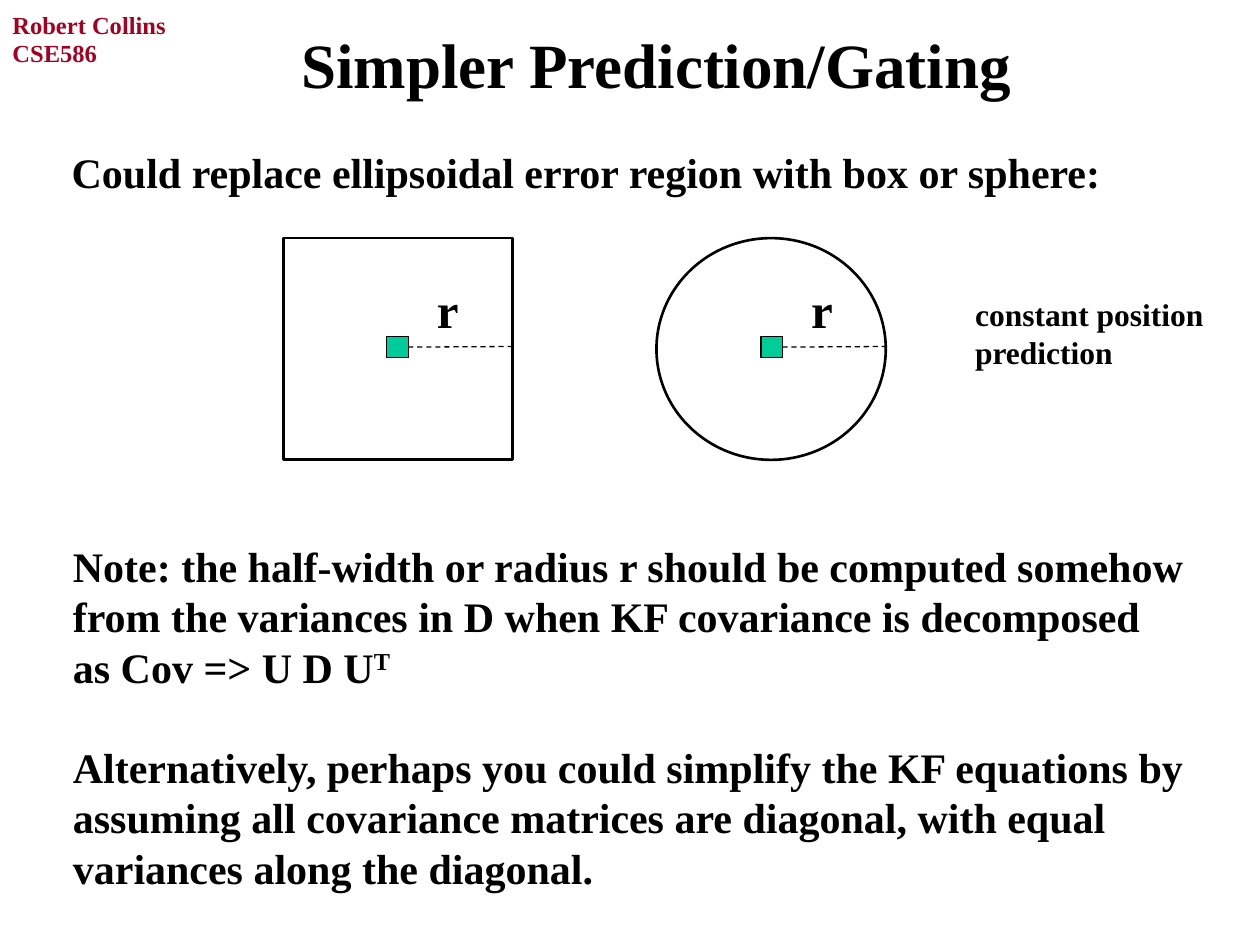
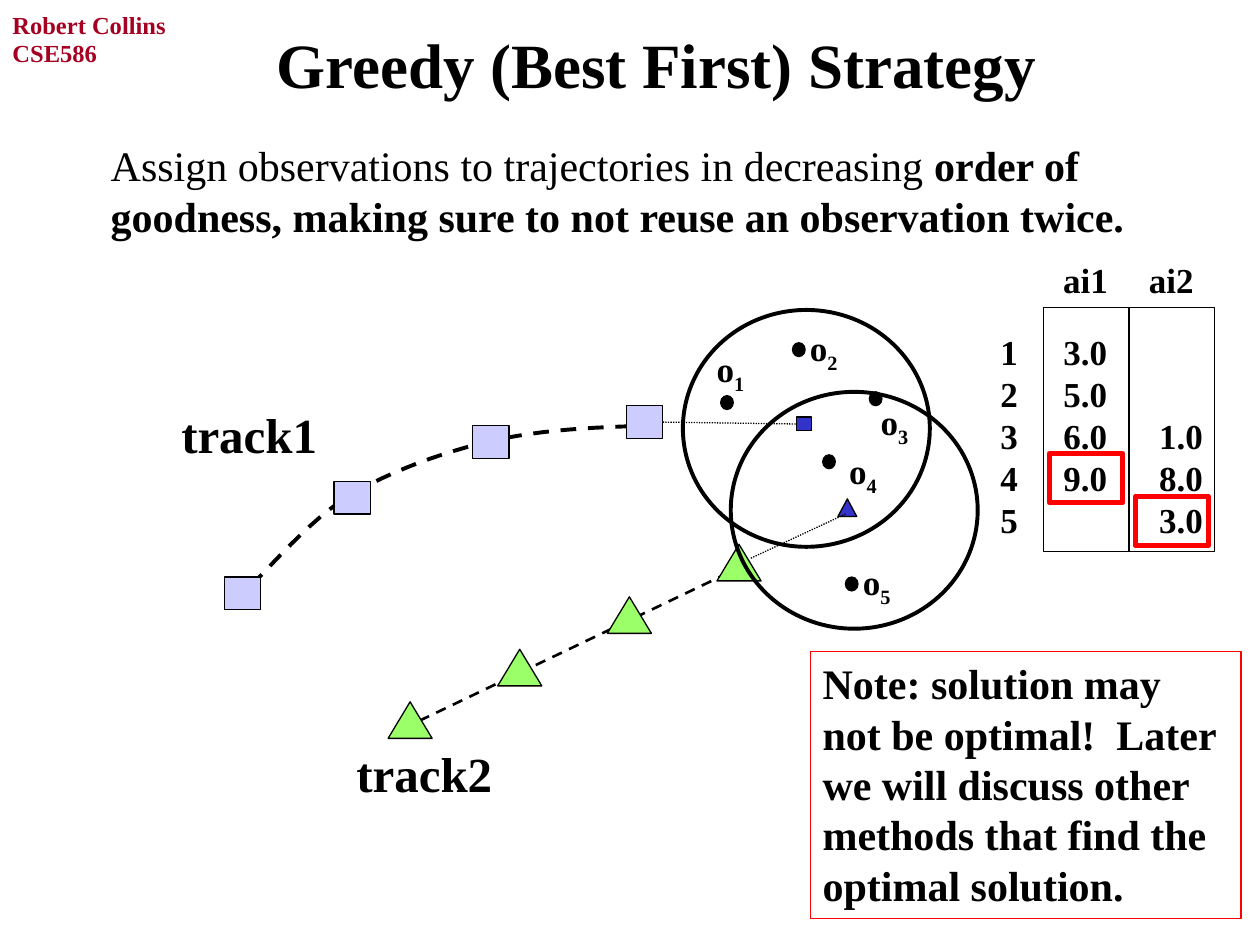
from lxml import etree
from pptx import Presentation
from pptx.dml.color import RGBColor
from pptx.enum.dml import MSO_LINE
from pptx.enum.shapes import MSO_CONNECTOR, MSO_SHAPE
from pptx.enum.text import MSO_ANCHOR, MSO_AUTO_SIZE, PP_ALIGN
from pptx.oxml.ns import qn
from pptx.util import Inches, Pt

FONT = "Times New Roman"
BLACK = RGBColor(0x00, 0x00, 0x00)
CRIMSON = RGBColor(0xA5, 0x00, 0x21)
RED = RGBColor(0xFF, 0x00, 0x00)
TEAL = RGBColor(0x00, 0xCC, 0x99)
LAVENDER = RGBColor(0xCC, 0xCC, 0xFF)
BLUE = RGBColor(0x33, 0x33, 0xCC)
GREEN = RGBColor(0x9A, 0xFF, 0x68)

RECTANGLE, OVAL = MSO_SHAPE.RECTANGLE, MSO_SHAPE.OVAL
TRIANGLE = MSO_SHAPE.ISOSCELES_TRIANGLE
STRAIGHT = MSO_CONNECTOR.STRAIGHT
DASH, DOT = MSO_LINE.DASH, MSO_LINE.ROUND_DOT
LEFT, CENTER = PP_ALIGN.LEFT, PP_ALIGN.CENTER
TOP, MIDDLE = MSO_ANCHOR.TOP, MSO_ANCHOR.MIDDLE
FIT_TEXT, NO_FIT = MSO_AUTO_SIZE.SHAPE_TO_FIT_TEXT, MSO_AUTO_SIZE.NONE
LEFT_SIDE, RIGHT_SIDE = 1, 3  # connection sites of a rectangle


def write_text(frame, paragraphs, size=24, color=BLACK, bold=True, align=LEFT,
               space_before=0, tabs=()):
    """Fill a frame; a paragraph is a string or a list of (text, bold, baseline)."""
    for index, pieces in enumerate(paragraphs):
        paragraph = frame.add_paragraph() if index else frame.paragraphs[0]
        paragraph.alignment = align
        if index and space_before:
            paragraph.space_before = Pt(space_before)
        if tabs:
            tab_list = etree.SubElement(paragraph._p.get_or_add_pPr(), qn("a:tabLst"))
            for position in tabs:
                etree.SubElement(tab_list, qn("a:tab"), pos=str(Inches(position)), algn="l")
        if isinstance(pieces, str):
            pieces = [(pieces, bold, 0)]
        for text, piece_bold, baseline in pieces:
            for number, line in enumerate(text.split("\n")):
                if number:
                    paragraph.add_line_break()
                run = paragraph.add_run()
                run.text = line
                run.font.name, run.font.size = FONT, Pt(size)
                run.font.bold = piece_bold
                run.font.color.rgb = color
                if baseline:
                    run._r.get_or_add_rPr().set("baseline", str(baseline * 1000))


def style_line(line, color, width, dash=None):
    line.color.rgb = color
    line.width = Pt(width)
    if dash:
        line.dash_style = dash


class Deck:
    def __init__(self):
        self.presentation = Presentation()
        self.presentation.slide_width = Inches(10)
        self.presentation.slide_height = Inches(7.5)
        self.slide = None

    def new_slide(self, title):
        self.slide = self.presentation.slides.add_slide(self.presentation.slide_layouts[6])
        self.text(0, 0.25, 1.59, 0.33, "CSE586", size=14, color=CRIMSON)
        self.text(0, 0.03, 1.42, 0.33, "Robert Collins", size=14, color=CRIMSON)
        self.text(1.25, 0.04, 7.92, 0.92, title, wrap=True, fit=NO_FIT, anchor=MIDDLE,
                  size=36, align=CENTER)

    def text(self, left, top, width, height, *paragraphs, wrap=False, fit=FIT_TEXT,
             anchor=TOP, **text_format):
        box = self.slide.shapes.add_textbox(Inches(left), Inches(top),
                                            Inches(width), Inches(height))
        frame = box.text_frame
        frame.word_wrap, frame.auto_size = wrap, fit
        frame.vertical_anchor = anchor
        write_text(frame, paragraphs, **text_format)
        return box

    def shape(self, kind, left, top, width, height, fill=None, line=BLACK, weight=0.75):
        shape = self.slide.shapes.add_shape(kind, Inches(left), Inches(top),
                                            Inches(width), Inches(height))
        shape.shadow.inherit = False
        if fill is None:
            shape.fill.background()
        else:
            shape.fill.solid()
            shape.fill.fore_color.rgb = fill
        style_line(shape.line, line, weight)
        return shape

    def connector(self, start, end, dash, weight=0.75, from_shape=None, to_shape=None):
        connector = self.slide.shapes.add_connector(STRAIGHT, *map(Inches, start + end))
        if from_shape is not None:
            connector.begin_connect(from_shape, RIGHT_SIDE)
        if to_shape is not None:
            connector.end_connect(to_shape, LEFT_SIDE)
        style_line(connector.line, BLACK, weight, dash)
        etree.SubElement(connector._element.spPr, qn("a:effectLst"))
        return connector

    def curve(self, start, segments, steps=12):
        """Draw cubic Bézier segments as a fine dashed outline."""
        points, origin = [], start
        for first, second, end in segments:
            for step in range(1, steps + 1):
                t = step / steps
                points.append(tuple(
                    Inches((1 - t) ** 3 * a + 3 * (1 - t) ** 2 * t * b
                           + 3 * (1 - t) * t ** 2 * c + t ** 3 * d)
                    for a, b, c, d in zip(origin, first, second, end)))
            origin = end
        builder = self.slide.shapes.build_freeform(Inches(start[0]), Inches(start[1]))
        builder.add_line_segments(points, close=False)
        shape = builder.convert_to_shape()
        shape.shadow.inherit = False
        shape.fill.background()
        style_line(shape.line, BLACK, 2.25, DASH)


def add_gating_slide(deck):
    deck.new_slide("Simpler Prediction/Gating")
    deck.text(0.47, 1.11, 8.45, 0.5,
              "Could replace ellipsoidal error region with box or sphere:")

    # Box and sphere gates, each with a centre marker and a radius
    for kind, left, marker_left in ((RECTANGLE, 2.25, 3.07), (OVAL, 5.21, 6.04)):
        marker = deck.shape(RECTANGLE, marker_left, 2.67, 0.17, 0.17, fill=TEAL)
        deck.shape(kind, left, 1.89, 1.82, 1.76, weight=1.5)
        deck.connector((marker_left + 0.17, 2.75), (left + 1.82, 2.75), DASH,
                       from_shape=marker)
        deck.text(marker_left + 0.3, 2.17, 0.37, 0.57, "r", size=28)
    deck.text(7.64, 2.29, 2.01, 0.7, "constant position\nprediction", size=18)

    # Notes
    deck.text(0.48, 4.24, 9.11, 2.79,
              [("Note: the half-width or radius r should be computed somehow\n"
                "from the variances in D when KF covariance is decomposed\n"
                "as Cov => U D U", True, 0), ("T", True, 30)],
              "Alternatively, perhaps you could simplify the KF equations by\n"
              "assuming all covariance matrices are diagonal, with equal\n"
              "variances along the diagonal.",
              space_before=28.5)


def add_greedy_slide(deck):
    deck.new_slide("Greedy (Best First) Strategy")
    deck.text(0.78, 1.06, 8.58, 0.91,
              [("Assign observations to trajectories in decreasing ", False, 0),
               ("order of goodness, making sure to not reuse an observation twice.", True, 0)],
              wrap=True)

    # Track 1: squares along a curve, leading to its prediction
    deck.curve((1.9, 4.72), [((1.86, 4.76), (1.83, 4.8), (1.97, 4.67)),
                             ((2.12, 4.53), (2.46, 4.12), (2.78, 3.93)),
                             ((3.1, 3.74), (3.51, 3.59), (3.9, 3.5)),
                             ((4.3, 3.41), (4.72, 3.39), (5.14, 3.38))])
    for left, top in ((1.78, 4.58), (2.65, 3.82), (3.75, 3.38), (4.97, 3.22)):
        last_square = deck.shape(RECTANGLE, left, top, 0.29, 0.26, fill=LAVENDER)
    prediction = deck.shape(RECTANGLE, 6.32, 3.31, 0.12, 0.11, fill=BLUE)
    deck.connector((5.26, 3.38), (6.32, 3.38), DOT,
                   from_shape=last_square, to_shape=prediction)
    deck.text(1.34, 3.16, 1.28, 0.57, "track1", size=28)

    # Track 2: triangles along a straight line, leading to its prediction
    deck.connector((3.33, 5.72), (5.9, 4.49), DASH, weight=1.5)
    for index in range(4):
        deck.shape(TRIANGLE, 3.08 + 0.87 * index, 5.57 - 1.25 / 3 * index, 0.35, 0.29,
                   fill=GREEN)
    deck.shape(TRIANGLE, 6.65, 3.96, 0.15, 0.14, fill=BLUE)
    deck.connector((5.96, 4.43), (6.71, 4.08), DOT)
    deck.text(2.73, 5.85, 1.28, 0.57, "track2", size=28)

    # Gates and observations
    for left, top in ((5.42, 2.46), (5.8, 3.11)):
        deck.shape(OVAL, left, top, 1.96, 1.88, weight=2.25)
    observations = (((5.72, 3.14), (5.59, 2.71)), ((6.29, 2.72), (6.33, 2.54)),
                    ((6.9, 3.11), (6.89, 3.13)), ((6.53, 3.61), (6.64, 3.52)),
                    ((6.71, 4.58), (6.75, 4.4)))
    for number, (dot, label) in enumerate(observations, start=1):
        deck.shape(OVAL, *dot, 0.1, 0.11, fill=BLACK)
        deck.text(*label, 0.43, 0.43, [("o", True, 0), (str(number), True, -25)], size=20)

    # Scores, with the chosen one of each column framed
    deck.text(7.84, 2.57, 1.81, 1.8, "1\t3.0", "2\t5.0", "3\t6.0\t1.0", "4\t9.0\t8.0",
              "5\t\t3.0", wrap=True, size=20, tabs=(0.5, 1.26))
    for index, (heading, chosen_top) in enumerate((("ai1", 3.6), ("ai2", 3.94))):
        left = 8.28 + 0.68 * index
        deck.text(left + 0.06, 2, 0.56, 0.43, heading, size=20)
        deck.shape(RECTANGLE, left, 2.44, 0.68, 1.94)
        deck.shape(RECTANGLE, left + 0.05, chosen_top, 0.58, 0.39, line=RED, weight=3)

    # Note
    note = deck.text(6.43, 5.17, 3.42, 2.12,
                     "Note: solution may\nnot be optimal!  Later we will discuss other "
                     "methods that find the optimal solution.", wrap=True)
    style_line(note.line, RED, 0.75)


def main():
    deck = Deck()
    add_gating_slide(deck)
    add_greedy_slide(deck)
    deck.presentation.save("out.pptx")


if __name__ == "__main__":
    main()
